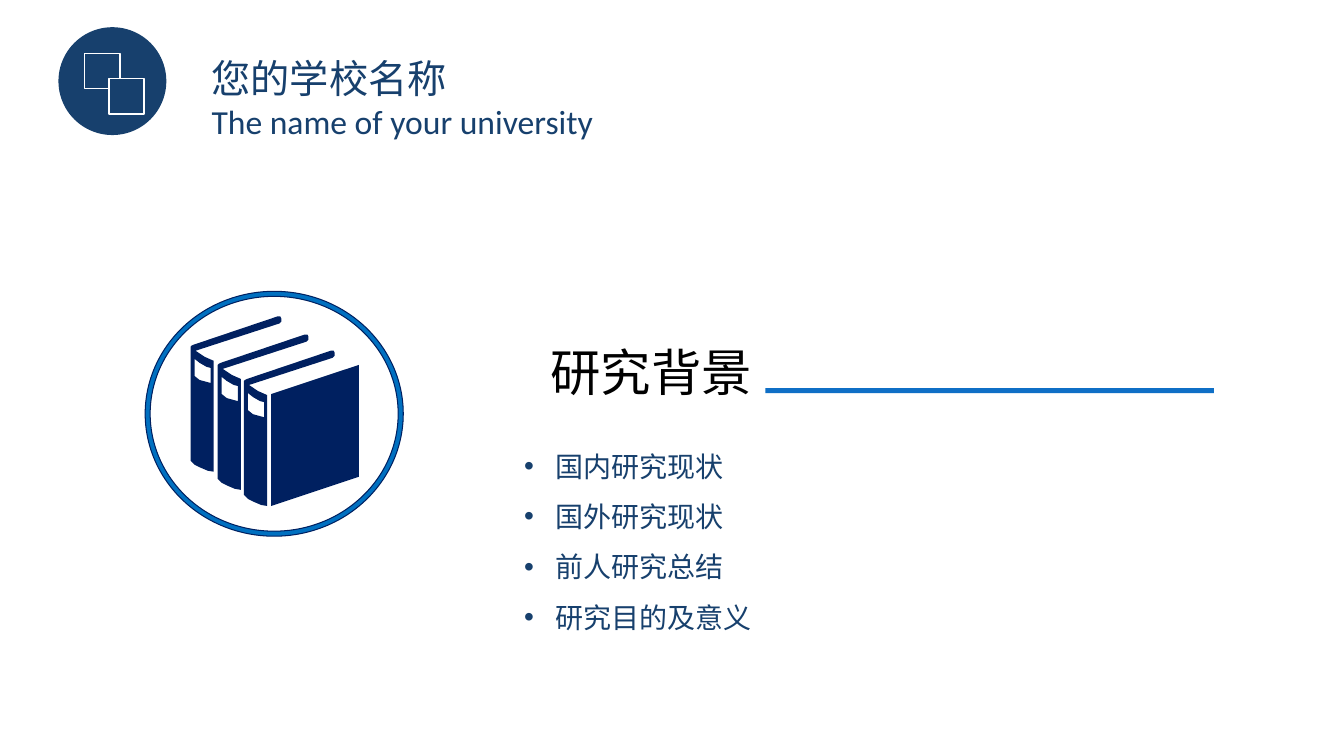
from lxml import etree
from pptx import Presentation
from pptx import util as u
from pptx.dml.color import RGBColor
from pptx.enum import shapes, text
from pptx.oxml import ns

PX = 9144  # EMU per px, 100 px to the inch
NAVY = RGBColor(0x17, 0x40, 0x6D)
INK = RGBColor(0x00, 0x20, 0x60)
RING = RGBColor(0x00, 0x70, 0xC0)
RULE = RGBColor(0x0F, 0x6F, 0xC6)
BLACK = RGBColor(0, 0, 0)
WHITE = RGBColor(0xFF, 0xFF, 0xFF)
FONT = "Calibri"

# Outlines relative to the top left of one book
SPINE = [(90, 2), (89, 0), (86, 0), (3, 28), (1, 29), (0, 30), (0, 143),
         (4, 147), (10, 150), (17, 153), (23, 154), (23, 44), (14, 40),
         (5, 34), (88, 7), (90, 5)]
LABEL = [(20, 51), (20, 66), (9, 63), (4, 59), (4, 42), (9, 46), (16, 50)]
COVER = [(80, 77), (80, 188), (167, 159), (167, 48)]
BOOK_OFFSETS = [(0, 0), (27, 18), (53, 34)]


def paint(sp, fill, line=None, width=1):
    sp.shadow.inherit = False
    sp.fill.solid()
    sp.fill.fore_color.rgb = fill
    if line is None:
        sp.line.fill.background()
    else:
        sp.line.color.rgb = line
        sp.line.width = u.Pt(width)


def add_preset(s, kind, x, y, w, h, fill, line=None, width=1):
    sp = s.shapes.add_shape(kind, x * PX, y * PX, w * PX, h * PX)
    paint(sp, fill, line, width)
    return sp


def add_outline(s, x, y, contours, fill):
    first, *holes = contours
    fb = s.shapes.build_freeform(x + first[0][0], y + first[0][1], scale=PX)
    fb.add_line_segments([(x + a, y + b) for a, b in first[1:]])
    for hole in holes:
        fb.move_to(x + hole[0][0], y + hole[0][1])
        fb.add_line_segments([(x + a, y + b) for a, b in hole[1:]])
    paint(fb.convert_to_shape(), fill)


def add_bullet(p):
    pPr = p._p.get_or_add_pPr()
    pPr.set("marL", str(31 * PX))
    pPr.set("indent", str(-31 * PX))
    etree.SubElement(pPr, ns.qn("a:buFont"), typeface="Arial")
    etree.SubElement(pPr, ns.qn("a:buChar"), char="•")


def add_text(s, x, y, w, h, lines, size, color, bullets=False):
    tf = s.shapes.add_textbox(x * PX, y * PX, w * PX, h * PX).text_frame
    tf.word_wrap = True
    tf.auto_size = text.MSO_AUTO_SIZE.SHAPE_TO_FIT_TEXT
    for i, line in enumerate(lines):
        p = tf.add_paragraph() if i else tf.paragraphs[0]
        if bullets:
            add_bullet(p)
            p.line_spacing = 1.5
        r = p.add_run()
        r.text = line
        r.font.name = FONT
        r.font.size = u.Pt(size)
        r.font.color.rgb = color


def school_header(s, x, y):
    # Round badge with two overlapping squares
    add_preset(s, shapes.MSO_SHAPE.OVAL, x, y, 107, 107, NAVY)
    for dx, dy in [(26, 26), (50, 51)]:
        add_preset(s, shapes.MSO_SHAPE.RECTANGLE, x + dx, y + dy, 35, 35, NAVY, WHITE)
    # School name
    add_text(s, x + 142, y + 22, 298, 57, ["您的学校名称"], 28, NAVY)
    add_text(s, x + 142, y + 68, 476, 50, ["The name of your university"], 24, NAVY)


def books_emblem(s, x, y, w, h):
    ring = add_preset(s, shapes.MSO_SHAPE.DONUT, x, y, w, h, RING, INK, 0.75)
    ring.adjustments[0] = 5 / min(w, h)
    # Three books, the front one with its cover
    left, top = x + 45, y + 25
    for dx, dy in BOOK_OFFSETS:
        add_outline(s, left + dx, top + dy, [SPINE, LABEL], INK)
    add_outline(s, left, top, [COVER], INK)


def section_contents(s, x, y, w, title, topics):
    # Title with a rule running to the right edge
    add_text(s, x + 26, y, 251, 71, [title], 36, BLACK)
    add_preset(s, shapes.MSO_SHAPE.RECTANGLE, x + 249, y + 52, w - 249, 5, RULE)
    # Topics
    add_text(s, x, y + 91, w, 246, topics, 20, NAVY, bullets=True)


def main():
    prs = Presentation()
    prs.slide_width, prs.slide_height = 1333 * PX, 750 * PX
    s = prs.slides.add_slide(prs.slide_layouts[6])
    section_contents(s, 510, 333, 694, "研究背景",
                     ["国内研究现状", "国外研究现状", "前人研究总结", "研究目的及意义"])
    school_header(s, 58, 27)
    books_emblem(s, 144, 289, 256, 243)
    prs.save("out.pptx")


if __name__ == "__main__":
    main()
